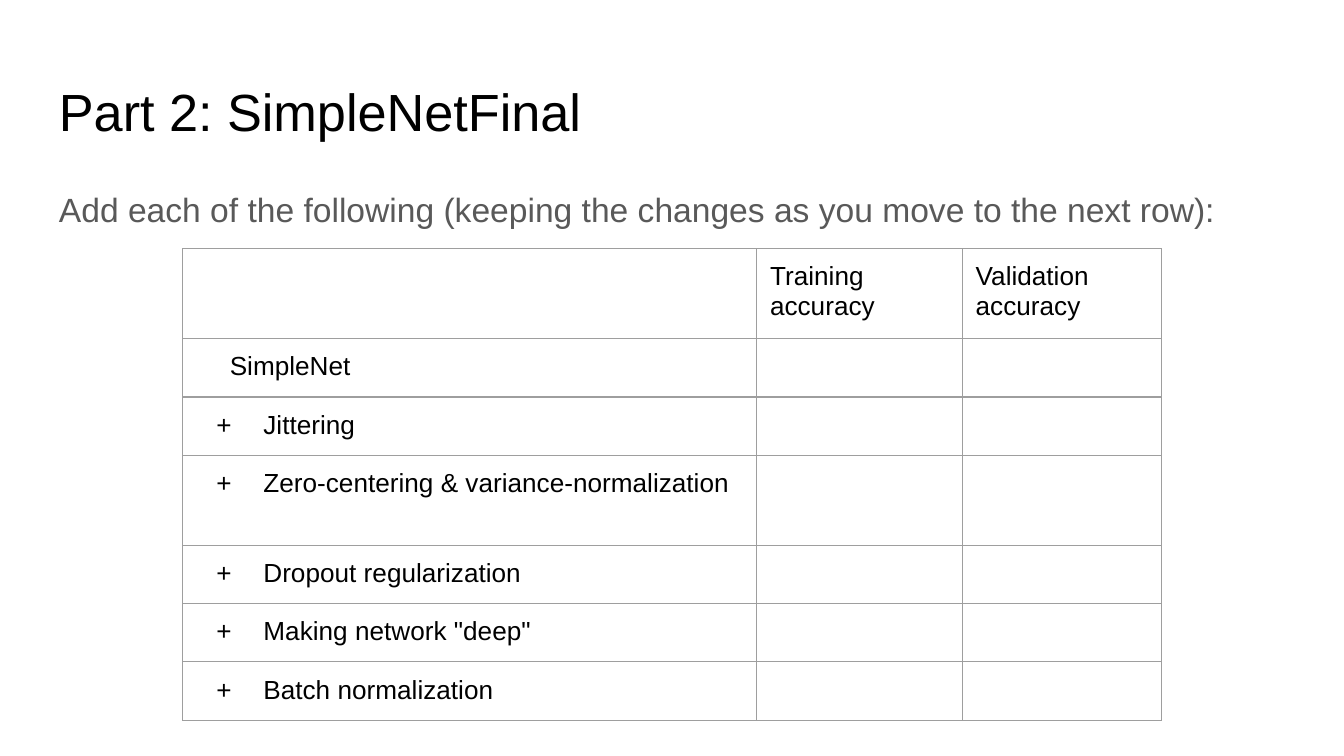
from dataclasses import dataclass
from lxml.etree import SubElement
from pptx import Presentation
from pptx.dml.color import RGBColor
from pptx.oxml.ns import qn
from pptx.util import Emu, Inches, Pt

BLACK = RGBColor(0x00, 0x00, 0x00)
GRAY = RGBColor(0x59, 0x59, 0x59)
WHITE = RGBColor(0xFF, 0xFF, 0xFF)
RULE = RGBColor(0x9E, 0x9E, 0x9E)
WIDE = 10
HIGH = WIDE * 9 / 16
LEFT, SPAN = 0.34, 9.32
PAD = Inches(0.1)
FONT = "Arial"


@dataclass
class Row:
    high: float
    text: tuple[str, ...]
    plus: bool = False


COLS = (4.27, 1.53, 1.48)
ROWS = (
    Row(0.67, ("", "Training accuracy", "Validation accuracy")),
    Row(0.43, ("SimpleNet",)),
    Row(0.43, ("Jittering",), True),
    Row(0.67, ("Zero-centering & variance-normalization",), True),
    Row(0.43, ("Dropout regularization",), True),
    Row(0.42, ('Making network "deep"',), True),
    Row(0.42, ("Batch normalization",), True),
)


def write(frame, text: str, *, size: float = 14, color: RGBColor = BLACK,
          space: float = 1, inset: float = 0, hang: float = 0,
          mark: str = "") -> None:
    """Fill a text frame with one formatted paragraph."""
    par = frame.paragraphs[0]
    par.line_spacing = space
    run = par.add_run()
    run.text = text
    run.font.name = FONT
    run.font.size = Pt(size)
    run.font.color.rgb = color
    props = par._p.get_or_add_pPr()
    props.set("marL", str(Inches(inset)))
    props.set("indent", str(Inches(-hang)))
    if mark:
        tint = SubElement(props, qn("a:buClr"))
        SubElement(tint, qn("a:srgbClr"), val=str(color))
        SubElement(props, qn("a:buFont"), typeface=FONT)
        SubElement(props, qn("a:buChar"), char=mark)


def add_box(slide, top: float, high: float, text: str, **form) -> None:
    """Add a text box across the slide's text column."""
    box = slide.shapes.add_textbox(
        Inches(LEFT), Inches(top), Inches(SPAN), Inches(high))
    frame = box.text_frame
    frame.word_wrap = True
    frame.margin_left = frame.margin_right = PAD
    frame.margin_top = frame.margin_bottom = PAD
    write(frame, text, **form)


def style(cell) -> None:
    """Give a cell its padding, borders and fill."""
    cell.margin_left = cell.margin_right = PAD
    cell.margin_top = cell.margin_bottom = PAD
    props = cell._tc.get_or_add_tcPr()
    for side in ("lnL", "lnR", "lnT", "lnB"):
        line = SubElement(props, qn(f"a:{side}"), w=str(Pt(0.75)))
        fill = SubElement(line, qn("a:solidFill"))
        SubElement(fill, qn("a:srgbClr"), val=str(RULE))
    cell.fill.solid()
    cell.fill.fore_color.rgb = WHITE


def add_grid(slide, left: float, top: float) -> None:
    """Add the table of accuracy by network change."""
    grid = slide.shapes.add_table(
        len(ROWS), len(COLS), Inches(left), Inches(top),
        Inches(sum(COLS)), Emu(sum(Inches(row.high) for row in ROWS))).table
    grid.first_row = grid.horz_banding = False
    for col, wide in zip(grid.columns, COLS):
        col.width = Inches(wide)
    for num, row in enumerate(ROWS):
        grid.rows[num].height = Inches(row.high)
        for pos in range(len(COLS)):
            cell = grid.cell(num, pos)
            style(cell)
            text = row.text[pos] if pos < len(row.text) else ""
            if not text:
                # Small type keeps an empty cell from stretching its row
                end = SubElement(cell.text_frame.paragraphs[0]._p,
                                 qn("a:endParaRPr"), sz="1200")
                SubElement(end, qn("a:latin"), typeface=FONT)
            elif row.plus:
                write(cell.text_frame, text, inset=0.5, hang=0.35, mark="+")
            else:
                write(cell.text_frame, text, inset=0.25 if num else 0)


# Slide
deck = Presentation()
deck.slide_width, deck.slide_height = Inches(WIDE), Inches(HIGH)
page = deck.slides.add_slide(deck.slide_layouts[6])
page.background.fill.solid()
page.background.fill.fore_color.rgb = WHITE

# Heading and lead
add_box(page, 0.49, 0.63, "Part 2: SimpleNetFinal", size=28)
add_box(page, 1.26, 3.74,
        "Add each of the following (keeping the changes as you move "
        "to the next row):", size=18, color=GRAY, space=1.15)

# Table
add_grid(page, 1.36, 1.85)

deck.save("out.pptx")
